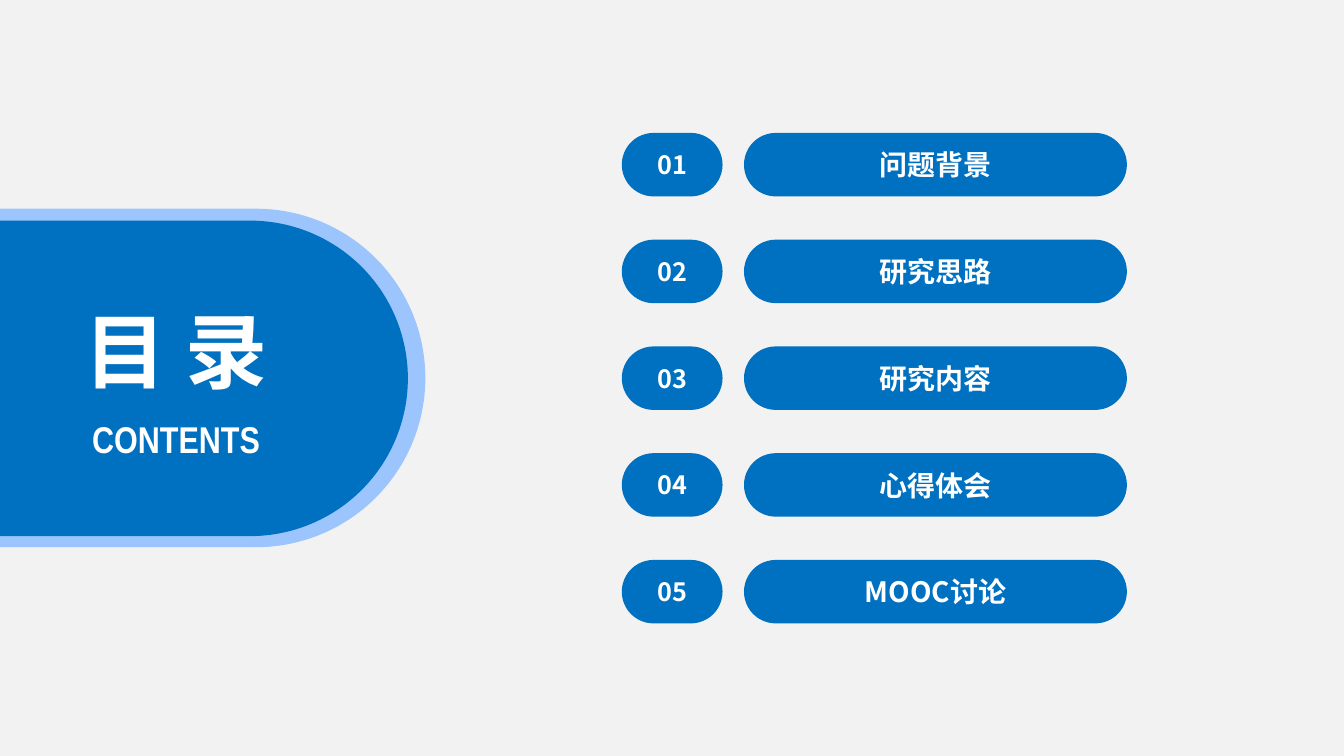
from dataclasses import dataclass

from lxml import etree
from pptx import Presentation
from pptx import util as u
from pptx.dml import color
from pptx.enum import shapes, text
from pptx.oxml import ns


@dataclass(frozen=True)
class Theme:
    back: str = "F2F2F2"
    blue: str = "0070C0"
    pale: str = "9CC5FD"
    white: str = "FFFFFF"
    sans: str = "Noto Sans CJK SC"
    narrow: str = "Arial Narrow"
    title: float = 58.6
    sub: float = 26.6
    item: float = 20
    num: float = 18


class Page:
    def __init__(self, slide, theme):
        self.slide = slide
        self.theme = theme
        self.paint(slide.background.fill, theme.back)

    def paint(self, fill, tone):
        fill.solid()
        fill.fore_color.rgb = color.RGBColor.from_string(tone)

    def letter(self, frame, words, size, face):
        """Set centred bold white text in both Latin and East Asian faces."""
        para = frame.paragraphs[0]
        para.text = words
        para.alignment = text.PP_ALIGN.CENTER
        for run in para.runs:
            font = run.font
            font.size, font.bold, font.name = u.Pt(size), True, face
            font.color.rgb = color.RGBColor.from_string(self.theme.white)
            east = etree.SubElement(run._r.get_or_add_rPr(), ns.qn("a:ea"))
            east.set("typeface", face)

    def pill(self, box, tone, words="", size=0):
        """Draw a fully rounded bar, with a label if words are given."""
        kind = shapes.MSO_SHAPE.ROUNDED_RECTANGLE
        shape = self.slide.shapes.add_shape(kind, *map(u.Cm, box))
        shape.adjustments[0] = 0.5
        shape.shadow.inherit = False
        shape.line.fill.background()
        self.paint(shape.fill, tone)
        if words:
            frame = shape.text_frame
            frame.vertical_anchor = text.MSO_ANCHOR.MIDDLE
            self.letter(frame, words, size, self.theme.sans)

    def label(self, box, words, size, face):
        frame = self.slide.shapes.add_textbox(*map(u.Cm, box)).text_frame
        frame.word_wrap = False
        frame.auto_size = text.MSO_AUTO_SIZE.SHAPE_TO_FIT_TEXT
        self.letter(frame, words, size, face)


TOPICS = ["问题背景", "研究思路", "研究内容", "心得体会", "MOOC讨论"]
TOP, STEP, HIGH = 3.35, 2.69, 1.6


def main():
    deck = Presentation()
    deck.slide_width, deck.slide_height = u.Cm(33.87), u.Cm(19.05)
    theme = Theme()
    page = Page(deck.slides.add_slide(deck.slide_layouts[6]), theme)

    page.pill((-4.98, 5.26, 15.7, 8.53), theme.pale)
    page.pill((-4.32, 5.56, 14.6, 7.95), theme.blue)
    for i, topic in enumerate(TOPICS):
        top = TOP + i * STEP
        page.pill((15.67, top, 2.54, HIGH), theme.blue, f"{i + 1:02}", theme.num)
        page.pill((18.75, top, 9.65, HIGH), theme.blue, topic, theme.item)

    page.label((1.57, 10.36, 5.74, 1.4), "CONTENTS", theme.sub, theme.narrow)
    page.label((1.78, 7.44, 5.31, 2.77), "目 录", theme.title, theme.sans)
    deck.save("out.pptx")


if __name__ == "__main__":
    main()
